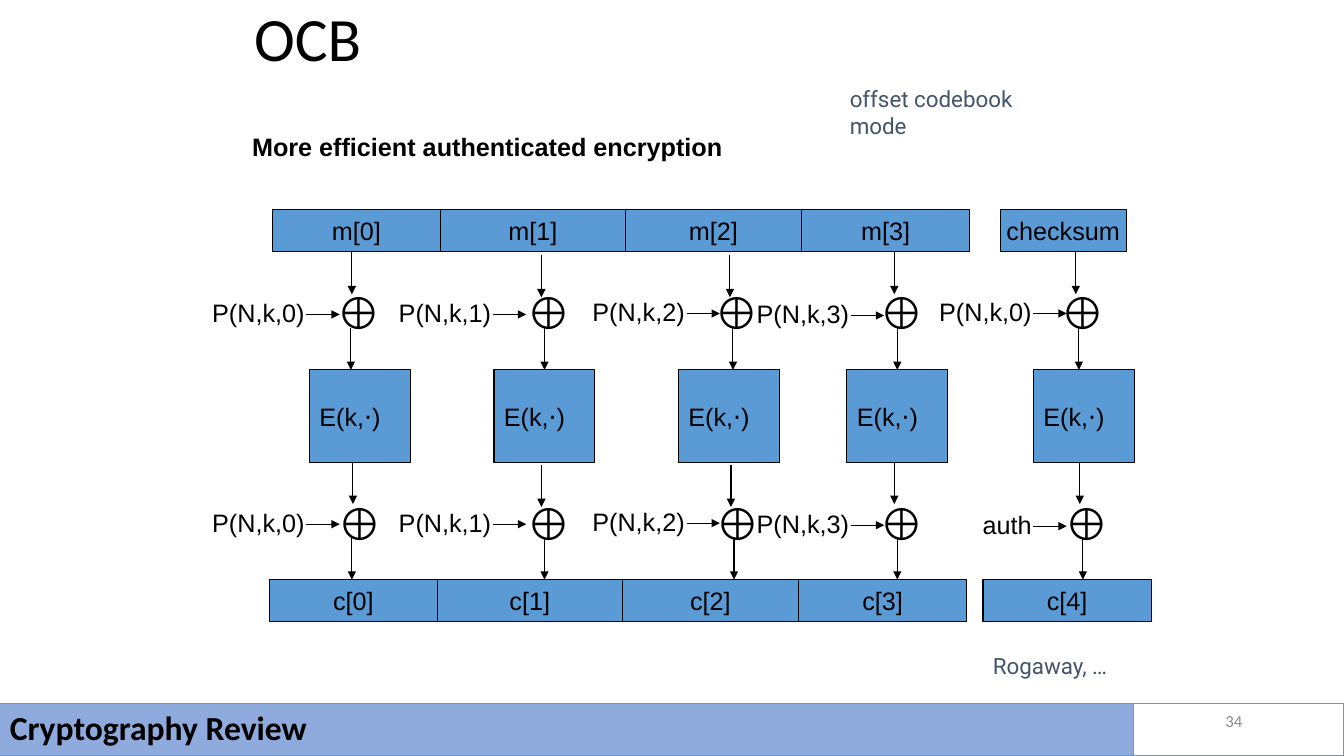
from pptx import Presentation
from pptx.dml.color import RGBColor
from pptx.enum.shapes import MSO_CONNECTOR, MSO_SHAPE
from pptx.enum.text import MSO_ANCHOR as ANCHOR, MSO_AUTO_SIZE as AUTO, PP_ALIGN as ALIGN
from pptx.oxml.ns import qn
from pptx.util import Inches, Pt
from lxml.etree import SubElement

# Content
TITLE = "OCB"
SUBTITLE = "More efficient authenticated encryption"
MODE_NOTE = "offset codebook mode"
AUTHOR_NOTE = "Rogaway, …"
FOOTER = "Cryptography Review"
PAGE = "34"
CIPHER = "E(k,⋅)"
XOR = "⊕"
COLORS = {"black": "000000", "block": "5B9BD5", "note": "44546A",
          "footer": "8FAADC", "page": "8C8C8C"}

# One entry per column: texts, then positions in inches
COLUMNS = [
    dict(plain="m[0]", out="c[0]", masks=("P(N,k,0)", "P(N,k,0)"), width=1.67,
         xors=(3.24, 3.25), exit=0.24, drop=0, cipher=3.07, right=3.12, masks_y=(2.9, 4.98)),
    dict(plain="m[1]", out="c[1]", masks=("P(N,k,1)", "P(N,k,1)"), width=1.83,
         xors=(5.12, 5.12), exit=0.28, drop=0.03, cipher=4.9, right=4.97, masks_y=(2.9, 4.98)),
    dict(plain="m[2]", out="c[2]", masks=("P(N,k,2)", "P(N,k,2)"), width=1.75,
         xors=(6.99, 7), exit=0.28, drop=0.03, cipher=6.73, right=6.89, masks_y=(2.89, 4.97)),
    dict(plain="m[3]", out="c[3]", masks=("P(N,k,3)", "P(N,k,3)"), width=1.67,
         xors=(8.62, 8.62), exit=0.28, drop=0, cipher=8.4, right=8.52, masks_y=(2.91, 4.99)),
    dict(plain="checksum", out="c[4]", masks=("P(N,k,0)", "auth"), width=1.67,
         xors=(10.42, 10.46), exit=0.28, drop=0, cipher=10.25, right=10.33, masks_y=(2.89, 5)),
]
PLAIN_X, OUT_X = 2.7, 2.67
CHECKSUM = (9.92, 1.25)
TAG_X = 9.75
PLAIN_Y, CIPHER_Y, OUT_Y = 2.08, 3.67, 5.75
BLOCK_H = 0.42
# Per round: top of the XOR sign, start of the arrow in, start of the arrow out
ROUNDS = [(2.78, 2.5, 3.25), (4.87, 4.58, 5.33)]
ARROW_DOWN, ARROW_RIGHT = 0.42, 0.33
MASK_W, AUTH_W = 1.12, 0.69

prs = Presentation()
prs.slide_width, prs.slide_height = Inches(13.33), Inches(7.5)
s = prs.slides.add_slide(prs.slide_layouts[1])


def color(name):
    return RGBColor.from_string(COLORS[name])


def write(sp, text, size=18, font="Arial", fill="black", bold=False,
          align=ALIGN.LEFT, anchor=ANCHOR.TOP, wrap=False, spacing=None):
    tf = sp.text_frame
    tf.word_wrap = wrap
    tf.vertical_anchor = anchor
    p = tf.paragraphs[0]
    p.alignment = align
    p.space_before = Pt(0)
    if spacing:
        p.line_spacing = spacing
    r = p.add_run()
    r.text = text
    r.font.size, r.font.name, r.font.bold = Pt(size), font, bold
    r.font.color.rgb = color(fill)
    return sp


def place(sp, x, y, w, h):
    sp.left, sp.top, sp.width, sp.height = map(Inches, (x, y, w, h))
    return sp


def label(text, x, y, w, h, grow=True, **fmt):
    sp = s.shapes.add_textbox(*map(Inches, (x, y, w, h)))
    write(sp, text, **fmt)
    sp.text_frame.auto_size = AUTO.SHAPE_TO_FIT_TEXT if grow else AUTO.NONE
    return sp


def block(x, y, w, h, fill="block", line="black"):
    sp = s.shapes.add_shape(MSO_SHAPE.RECTANGLE, *map(Inches, (x, y, w, h)))
    sp.shadow.inherit = False
    if fill:
        sp.fill.solid()
        sp.fill.fore_color.rgb = color(fill)
    else:
        sp.fill.background()
    sp.line.color.rgb = color(line)
    sp.line.width = Pt(0.75)
    return sp


def cell(text, x, y, w, h=BLOCK_H, align=ALIGN.CENTER):
    return write(block(x, y, w, h), text, align=align, anchor=ANCHOR.MIDDLE)


def arrow(x, y, dx=0, dy=0):
    c = s.shapes.add_connector(MSO_CONNECTOR.STRAIGHT, *map(Inches, (x, y, x + dx, y + dy)))
    c.line.color.rgb = color("black")
    c.line.width = Pt(0.75)
    SubElement(c.line._get_or_add_ln(), qn("a:tailEnd"), type="triangle")
    SubElement(c._element.spPr, qn("a:effectLst"))
    return c


# Title and subtitle
write(place(s.shapes.title, 2.42, 0, 8.5, 0.83), TITLE, size=44, font="Calibri",
      anchor=ANCHOR.MIDDLE, wrap=True, spacing=0.9)
body = place(s.placeholders[1], 2.33, 1.25, 9, 5.58)
write(body, SUBTITLE, bold=True, wrap=True)
pPr = body.text_frame.paragraphs[0]._p.get_or_add_pPr()
pPr.set("marL", str(Inches(0.07)))
pPr.set("indent", "0")
SubElement(pPr, qn("a:buNone"))

# Encryption columns
plain_x, out_x = PLAIN_X, OUT_X
for i, col in enumerate(COLUMNS):
    last = i == len(COLUMNS) - 1
    top_x, top_w = CHECKSUM if last else (plain_x, col["width"])
    cell(col["plain"], top_x, PLAIN_Y, top_w)
    cell(CIPHER, col["cipher"], CIPHER_Y, 1, 0.92, align=ALIGN.LEFT)
    cell(col["out"], TAG_X if last else out_x, OUT_Y, col["width"])
    plain_x += col["width"]
    out_x += col["width"]

    # Mask, XOR sign and arrows of both rounds
    for (xor_y, in_y, out_y), xor_x, mask, mask_y in zip(
            ROUNDS, col["xors"], col["masks"], col["masks_y"]):
        label(XOR, xor_x, xor_y, 0.54, 0.63, size=32)
        arrow(xor_x + 0.25, in_y + col["drop"], dy=ARROW_DOWN)
        arrow(xor_x + col["exit"], out_y, dy=ARROW_DOWN)
        w = AUTH_W if mask == "auth" else MASK_W
        s.shapes.add_group_shape([
            arrow(col["right"] - 0.08, mask_y + 0.22, dx=ARROW_RIGHT),
            label(mask, col["right"] - w, mask_y, w, 0.4, align=ALIGN.RIGHT)])

# Notes
label(MODE_NOTE, 8.33, 0.8, 2.3, 0.63, size=16, font="Roboto", fill="note", wrap=True)
label(AUTHOR_NOTE, 9.75, 6.42, 1.42, 0.37, size=16, font="Roboto", fill="note")

# Footer band and page number
write(block(0, 6.98, 11.24, 0.52, fill="footer", line="block"), FOOTER, size=24,
      font="Calibri", bold=True, anchor=ANCHOR.MIDDLE, wrap=True, spacing=0.9)
block(11.24, 6.98, 2.09, 0.52, fill=None, line="block")
label(PAGE, 9.42, 6.95, 3, 0.4, grow=False, size=12, font="Calibri", fill="page",
      align=ALIGN.RIGHT, anchor=ANCHOR.MIDDLE, wrap=True)

prs.save("out.pptx")
